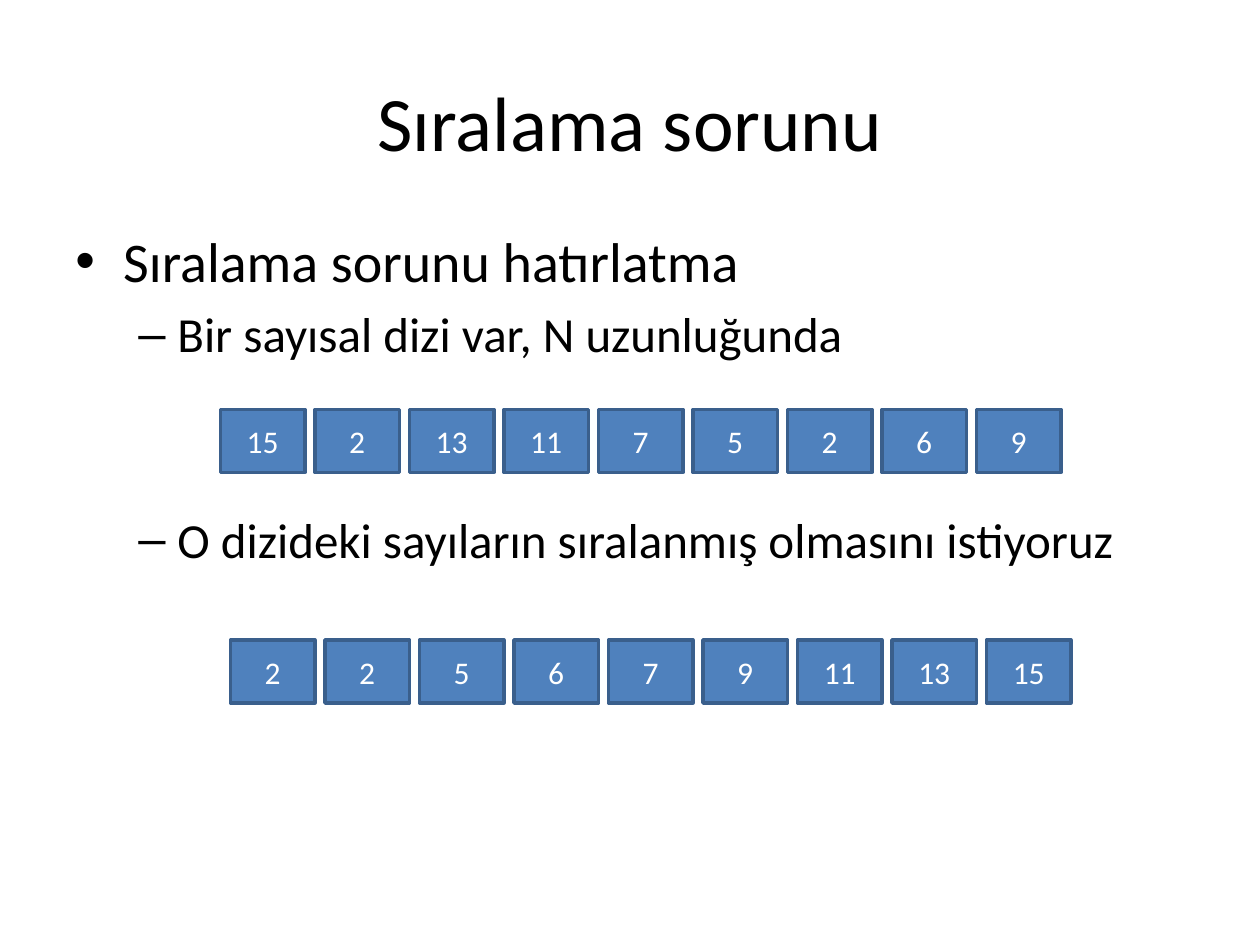
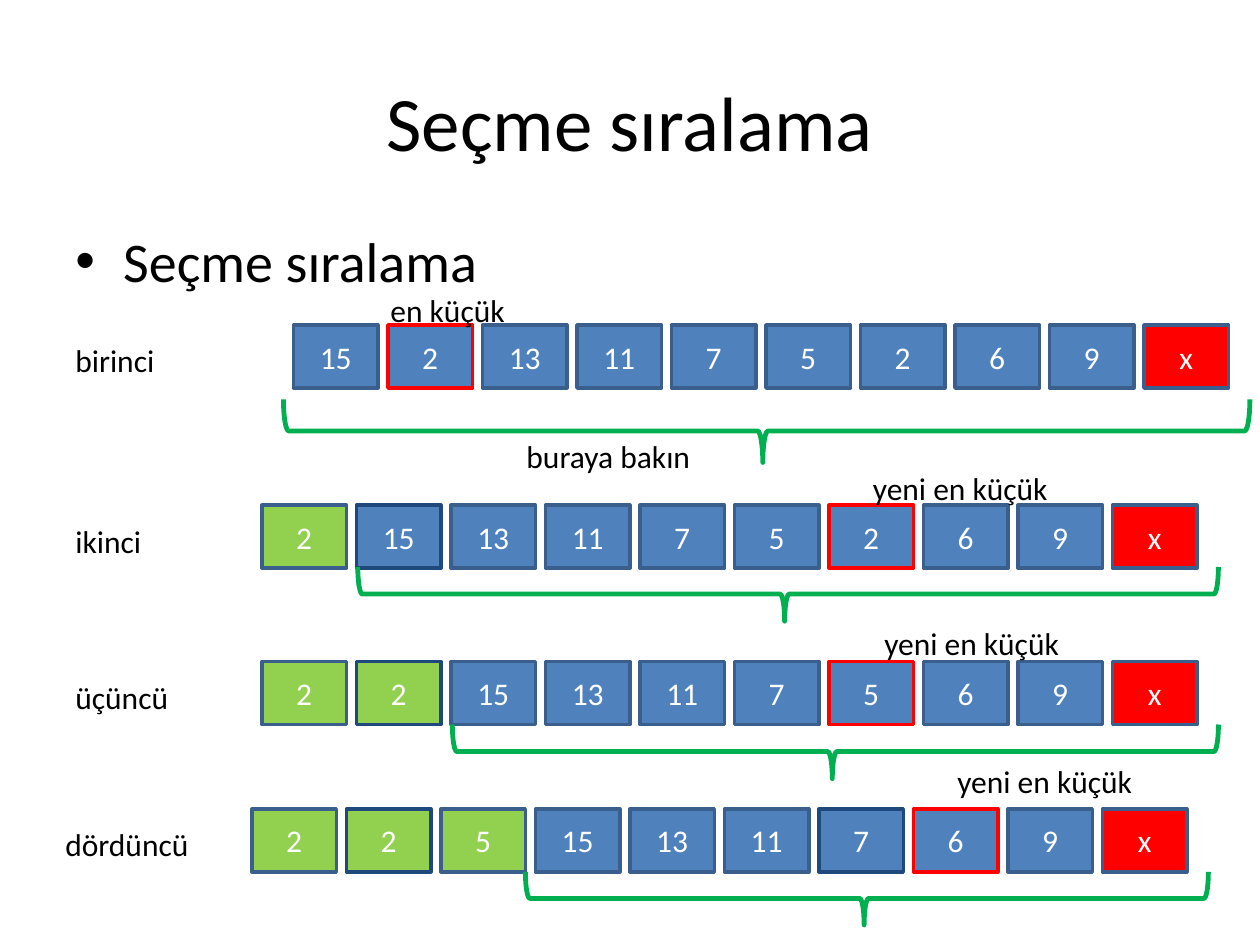
from pptx import Presentation
from pptx.dml.color import RGBColor
from pptx.enum import shapes, text
from pptx.oxml.ns import qn
from pptx.util import Inches, Pt
from lxml import etree

FONT = "Calibri"
BLACK, WHITE, RED = "000000", "FFFFFF", "FF0000"
BLUE, EDGE, DARK_EDGE = "4F81BD", "3A5F8C", "1F497D"
SORTED_GREEN, BRACE_GREEN = "92D050", "00B050"
CELL_WIDTH, CELL_HEIGHT, CELL_PITCH = 0.67, 0.5, 0.75
LEVELS = [("•", 32, 0.38, 0.38), ("–", 28, 0.81, 0.31)]


def colour(value):
    return RGBColor.from_string(value)


def set_font(paragraph, size, value):
    paragraph.font.name = FONT
    paragraph.font.size = Pt(size)
    paragraph.font.color.rgb = colour(value)


def add_titled_slide(deck, heading):
    slide = deck.slides.add_slide(deck.slide_layouts[5])
    title = slide.shapes.title
    title.left, title.top = Inches(0.5), Inches(0.33)
    title.width, title.height = Inches(9), Inches(1.25)
    title.text_frame.vertical_anchor = text.MSO_ANCHOR.MIDDLE
    paragraph = title.text_frame.paragraphs[0]
    paragraph.text = heading
    paragraph.alignment = text.PP_ALIGN.CENTER
    set_font(paragraph, 44, BLACK)
    return slide


def add_bullets(slide, height, items):
    body = slide.shapes.add_textbox(Inches(0.5), Inches(1.75), Inches(9), Inches(height))
    frame = body.text_frame
    frame.word_wrap = True
    for number, (level, words, space_before) in enumerate(items):
        paragraph = frame.add_paragraph() if number else frame.paragraphs[0]
        mark, size, indent, hanging = LEVELS[level]
        paragraph.text = words
        paragraph.level = level
        paragraph.space_before = Pt(space_before)
        set_font(paragraph, size, BLACK)
        properties = paragraph._p.get_or_add_pPr()
        properties.set("marL", str(Inches(indent)))
        properties.set("indent", str(-Inches(hanging)))
        etree.SubElement(properties, qn("a:buFont")).set("typeface", "Arial")
        etree.SubElement(properties, qn("a:buChar")).set("char", mark)


def add_cell(row, left, top, value, fill, edge):
    cell = row.shapes.add_shape(shapes.MSO_SHAPE.RECTANGLE, Inches(left), Inches(top),
                                Inches(CELL_WIDTH), Inches(CELL_HEIGHT))
    cell.shadow.inherit = False
    cell.fill.solid()
    cell.fill.fore_color.rgb = colour(fill)
    cell.line.color.rgb = colour(edge)
    cell.line.width = Pt(2)
    cell.text_frame.vertical_anchor = text.MSO_ANCHOR.MIDDLE
    paragraph = cell.text_frame.paragraphs[0]
    paragraph.text = value
    paragraph.alignment = text.PP_ALIGN.CENTER
    set_font(paragraph, 18, WHITE)


def add_array(slide, left, top, values, sorted_count=0, smallest=None, dark=()):
    row = slide.shapes.add_group_shape()
    for index, value in enumerate(values.split()):
        fill = RED if value == "x" else SORTED_GREEN if index < sorted_count else BLUE
        edge = RED if index == smallest else DARK_EDGE if index in dark else EDGE
        add_cell(row, left + index * CELL_PITCH, top, value, fill, edge)


def add_label(slide, left, top, width, words):
    label = slide.shapes.add_textbox(Inches(left), Inches(top), Inches(width), Inches(0.4))
    label.text_frame.word_wrap = False
    label.text_frame.auto_size = text.MSO_AUTO_SIZE.SHAPE_TO_FIT_TEXT
    paragraph = label.text_frame.paragraphs[0]
    paragraph.text = words
    set_font(paragraph, 18, BLACK)


def add_brace_below(slide, left, top, width, height):
    middle_x, middle_y = left + width / 2, top + height / 2
    brace = slide.shapes.add_shape(
        shapes.MSO_SHAPE.LEFT_BRACE, Inches(middle_x - height / 2),
        Inches(middle_y - width / 2), Inches(height), Inches(width))
    brace.rotation = 270
    brace.adjustments[0] = 0.083
    brace.adjustments[1] = 0.496
    brace.shadow.inherit = False
    brace.fill.background()
    brace.line.color.rgb = colour(BRACE_GREEN)
    brace.line.width = Pt(2.75)


def build_problem(deck):
    slide = add_titled_slide(deck, "Sıralama sorunu")
    add_bullets(slide, 5.25, [
        (0, "Sıralama sorunu hatırlatma", 6.4),
        (1, "Bir sayısal dizi var, N uzunluğunda", 5.6),
        (1, "O dizideki sayıların sıralanmış olmasını istiyoruz", 84),
    ])
    add_array(slide, 1.75, 3.25, "15 2 13 11 7 5 2 6 9")
    add_array(slide, 1.83, 5.08, "2 2 5 6 7 9 11 13 15")


def build_selection_sort(deck):
    slide = add_titled_slide(deck, "Seçme sıralama")
    add_bullets(slide, 4.95, [(0, "Seçme sıralama", 6.4)])
    steps = [
        (2.33, 2.58, "15 2 13 11 7 5 2 6 9 x", 1, (),
         (0.5, 0.84, "birinci"), (3, 2.26, 1.12, "en küçük"), (2.25, 3.17, 7.67, 0.5)),
        (2.08, 4.01, "2 15 13 11 7 5 2 6 9 x", 6, (1,),
         (0.5, 0.73, "ikinci"), (6.83, 3.67, 1.61, "yeni en küçük"), (2.84, 4.5, 6.83, 0.43)),
        (2.08, 5.25, "2 2 15 13 11 7 5 6 9 x", 6, (1,),
         (0.5, 0.95, "üçüncü"), (6.92, 4.9, 1.61, "yeni en küçük"), (3.59, 5.75, 6.08, 0.43)),
        (2, 6.42, "2 2 5 15 13 11 7 6 9 x", 7, (1, 6),
         (0.42, 1.19, "dördüncü"), (7.5, 6, 1.61, "yeni en küçük"), (4.17, 6.92, 5.42, 0.42)),
    ]
    for sorted_count, step in enumerate(steps):
        left, top, values, smallest, dark, ordinal, note, brace = step
        ordinal_left, ordinal_width, ordinal_words = ordinal
        add_array(slide, left, top, values, sorted_count, smallest, dark)
        add_label(slide, ordinal_left, top + 0.08, ordinal_width, ordinal_words)
        add_brace_below(slide, *brace)
        add_label(slide, *note)
    add_label(slide, 4.08, 3.42, 1.52, "buraya bakın")


def main():
    deck = Presentation()
    deck.slide_width, deck.slide_height = Inches(10), Inches(7.5)
    build_problem(deck)
    build_selection_sort(deck)
    deck.save("out.pptx")


main()
